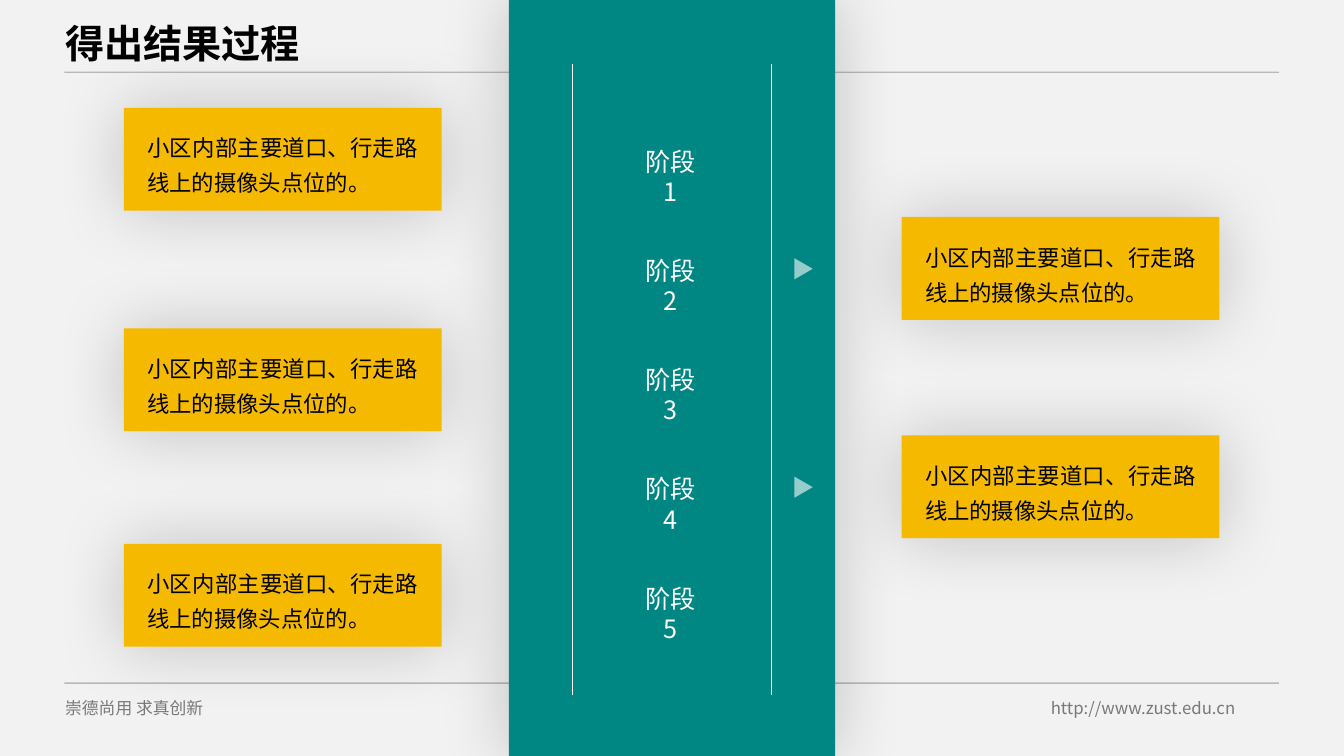
from dataclasses import dataclass

from lxml import etree
from pptx import Presentation
from pptx.dml.color import RGBColor
from pptx.enum.shapes import MSO_CONNECTOR, MSO_SHAPE
from pptx.enum.text import MSO_ANCHOR, PP_ALIGN
from pptx.oxml.ns import qn
from pptx.util import Pt

FONT = "Noto Sans CJK SC"
BLACK, WHITE, TEAL, AMBER, PALE = "000000", "FFFFFF", "008784", "F5B900", "F2F2F2"
RECTANGLE = MSO_SHAPE.RECTANGLE
TRIANGLE = MSO_SHAPE.ISOSCELES_TRIANGLE
STRAIGHT = MSO_CONNECTOR.STRAIGHT
TOP, BOTTOM = MSO_ANCHOR.TOP, MSO_ANCHOR.BOTTOM
LEFT, CENTER, JUSTIFY = PP_ALIGN.LEFT, PP_ALIGN.CENTER, PP_ALIGN.JUSTIFY

CARD_TEXT = "小区内部主要道口、行走路线上的摄像头点位的。"
CARD_WIDTH, CARD_HEIGHT = 227, 73.5
CARD_INSET = 9.7
STAGE_COUNT, STAGE_TOP, STAGE_PITCH = 5, 101, 78


@dataclass
class Area:
    left: float
    top: float
    width: float
    height: float

    def lengths(self) -> tuple:
        return Pt(self.left), Pt(self.top), Pt(self.width), Pt(self.height)


@dataclass
class TextStyle:
    size: float
    color: str = BLACK
    opacity: int = 100
    bold: bool = False
    align: PP_ALIGN = LEFT
    anchor: MSO_ANCHOR = TOP
    spacing: float | Pt = 1.0


TITLE = TextStyle(28, bold=True, anchor=BOTTOM, spacing=0.9)
FOOTER = TextStyle(12, opacity=50, align=JUSTIFY)
CARD = TextStyle(16, align=JUSTIFY, spacing=Pt(25))
STAGE = TextStyle(18, color=WHITE, align=CENTER, spacing=Pt(21.5))

CARD_CORNERS = [(88.5, 77), (88.5, 234.5), (88.5, 388.5), (644, 155), (644, 311)]
ARROW_TOPS = [185.5, 341.5]


def rgb(color: str) -> RGBColor:
    return RGBColor.from_string(color)


def set_opacity(color_holder, percent: int) -> None:
    """Make the solid colour found below an element partly transparent."""
    color = next(color_holder.iter(qn("a:srgbClr")))
    etree.SubElement(color, qn("a:alpha"), val=str(percent * 1000))


def set_effects(shape, glow: bool) -> None:
    """Give a shape either a soft centred shadow or no effect at all."""
    effects = etree.SubElement(shape._element.spPr, qn("a:effectLst"))
    if glow:
        shadow = etree.SubElement(effects, qn("a:outerShdw"), blurRad=str(Pt(50)),
                                  dist="0", dir="0", algn="ctr", rotWithShape="0")
        etree.SubElement(shadow, qn("a:srgbClr"), val=BLACK)
        set_opacity(shadow, 20)


def add_panel(page, kind, area: Area, color: str, glow: bool = False):
    panel = page.shapes.add_shape(kind, *area.lengths())
    panel.fill.solid()
    panel.fill.fore_color.rgb = rgb(color)
    panel.line.fill.background()
    set_effects(panel, glow)
    return panel


def add_rule(page, start: tuple, end: tuple, color: str, weight: float,
             opacity: int = 100, glow: bool = False) -> None:
    rule = page.shapes.add_connector(STRAIGHT, *map(Pt, start + end))
    rule.line.color.rgb = rgb(color)
    rule.line.width = Pt(weight)
    if opacity < 100:
        set_opacity(rule._element.spPr, opacity)
    set_effects(rule, glow)


def add_text(page, words: str, area: Area, style: TextStyle) -> None:
    box = page.shapes.add_textbox(*area.lengths())
    frame = box.text_frame
    frame.word_wrap = True
    frame.vertical_anchor = style.anchor
    para = frame.paragraphs[0]
    para.alignment = style.align
    para.line_spacing = style.spacing
    span = para.add_run()
    span.text = words
    font = span.font
    font.name = FONT
    font.size = Pt(style.size)
    font.bold = style.bold
    font.color.rgb = rgb(style.color)
    if style.opacity < 100:
        set_opacity(span._r, style.opacity)
    etree.SubElement(span._r.get_or_add_rPr(), qn("a:ea"), typeface=FONT)


def add_card(page, left: float, top: float) -> None:
    add_panel(page, RECTANGLE, Area(left, top, CARD_WIDTH, CARD_HEIGHT), AMBER, glow=True)
    text_area = Area(left + CARD_INSET, top + CARD_INSET,
                     CARD_WIDTH - 2 * CARD_INSET, CARD_HEIGHT - 2 * CARD_INSET)
    add_text(page, CARD_TEXT, text_area, CARD)


def add_arrow(page, top: float) -> None:
    arrow = add_panel(page, TRIANGLE, Area(566.5, top, 15, 13), WHITE)
    arrow.rotation = 90
    set_opacity(arrow._element.spPr, 59)


def main() -> None:
    deck = Presentation()
    deck.slide_width, deck.slide_height = Pt(960), Pt(540)
    page = deck.slides.add_slide(deck.slide_layouts[6])
    page.background.fill.solid()
    page.background.fill.fore_color.rgb = rgb(PALE)

    for height in (51.6, 488):
        add_rule(page, (46, height), (913.5, height), BLACK, 1, opacity=23, glow=True)
    add_text(page, "http://www.zust.edu.cn", Area(743.5, 495, 178.5, 22), FOOTER)
    add_text(page, "崇德尚用 求真创新", Area(39.5, 495, 178.5, 22), FOOTER)
    add_text(page, "得出结果过程", Area(39.5, 13.5, 566.5, 38), TITLE)

    add_panel(page, RECTANGLE, Area(363.5, 0, 233, 540), TEAL, glow=True)
    for x in (409, 551):
        add_rule(page, (x, 46), (x, 496.5), WHITE, 0.5)
    for top in ARROW_TOPS:
        add_arrow(page, top)
    for left, top in CARD_CORNERS:
        add_card(page, left, top)
    for index in range(STAGE_COUNT):
        area = Area(450, STAGE_TOP + index * STAGE_PITCH, 58, 50)
        add_text(page, f"阶段{index + 1}", area, STAGE)

    deck.save("out.pptx")


if __name__ == "__main__":
    main()
